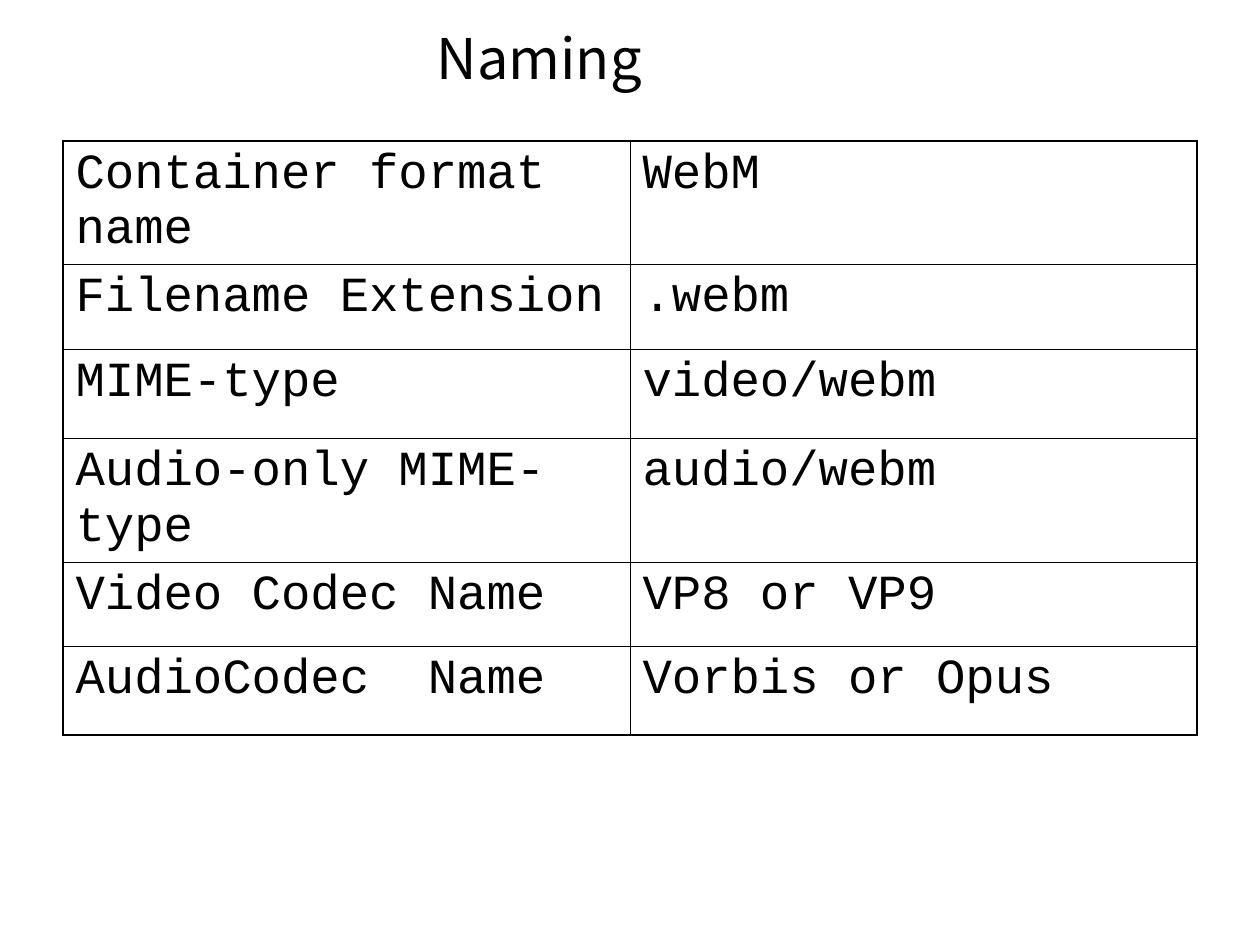
"""Build the Naming slide with its table of container format names."""
from typing import Any, NamedTuple

from pptx import Presentation
from pptx.dml.color import RGBColor
from pptx.enum.text import MSO_ANCHOR, PP_ALIGN
from pptx.oxml import parse_xml
from pptx.oxml.ns import nsdecls
from pptx.util import Inches, Pt

BLACK = RGBColor(0, 0, 0)
WHITE = RGBColor(255, 255, 255)
TITLE_FONT = {"name": "Noto Sans CJK SC", "size": Pt(32), "bold": False}
CELL_FONT = {"name": "Courier New", "size": Pt(28), "bold": False}
OUTER_BORDER = Pt(1.08)
INNER_BORDER = Pt(0.45)


class NamingRow(NamedTuple):
    label: str
    value: str
    height: float


NAMING_ROWS = [
    NamingRow("Container format name", "WebM", 0.7),
    NamingRow("Filename Extension", ".webm", 0.67),
    NamingRow("MIME-type", "video/webm", 0.71),
    NamingRow("Audio-only MIME-type", "audio/webm", 0.73),
    NamingRow("Video Codec Name", "VP8 or VP9", 0.67),
    NamingRow("AudioCodec  Name", "Vorbis or Opus", 0.7),
]


def write_text(text_frame: Any, text: str, font_format: dict[str, Any]) -> None:
    text_frame.text = text
    font = text_frame.paragraphs[0].runs[0].font
    for attribute, value in font_format.items():
        setattr(font, attribute, value)
    font.color.rgb = BLACK


def set_borders(cell: Any, outer_sides: dict[str, bool]) -> None:
    properties = cell._tc.get_or_add_tcPr()
    for position, (side, is_outer) in enumerate(outer_sides.items()):
        width = OUTER_BORDER if is_outer else INNER_BORDER
        properties.insert(position, parse_xml(
            f'<a:{side} {nsdecls("a")} w="{int(width)}"><a:solidFill>'
            f'<a:srgbClr val="{BLACK}"/></a:solidFill></a:{side}>'))


def add_title(slide: Any, text: str) -> None:
    title = slide.shapes.title
    placement = {"left": 0.5, "top": 0.08, "width": 7.56, "height": 0.74}
    for attribute, value in placement.items():
        setattr(title, attribute, Inches(value))
    write_text(title.text_frame, text, TITLE_FONT)
    title.text_frame.vertical_anchor = MSO_ANCHOR.MIDDLE
    title.text_frame.paragraphs[0].alignment = PP_ALIGN.CENTER


def add_naming_table(slide: Any, rows: list[NamingRow]) -> None:
    total_height = sum(row.height for row in rows)
    table = slide.shapes.add_table(
        len(rows), 2, Inches(0.5), Inches(1.12), Inches(9), Inches(total_height)).table
    table.first_row = False
    table.horz_banding = False
    last_row = len(rows) - 1
    for row_index, row in enumerate(rows):
        table.rows[row_index].height = Inches(row.height)
        for column_index, text in enumerate((row.label, row.value)):
            cell = table.cell(row_index, column_index)
            cell.fill.solid()
            cell.fill.fore_color.rgb = WHITE
            write_text(cell.text_frame, text, CELL_FONT)
            set_borders(cell, {
                "lnL": column_index == 0,
                "lnR": column_index == 1,
                "lnT": row_index == 0,
                "lnB": row_index == last_row,
            })


def main() -> None:
    presentation = Presentation()
    presentation.slide_width = Inches(10)
    presentation.slide_height = Inches(7.5)
    slide = presentation.slides.add_slide(presentation.slide_layouts[5])
    add_title(slide, "Naming")
    add_naming_table(slide, NAMING_ROWS)
    presentation.save("out.pptx")


if __name__ == "__main__":
    main()
